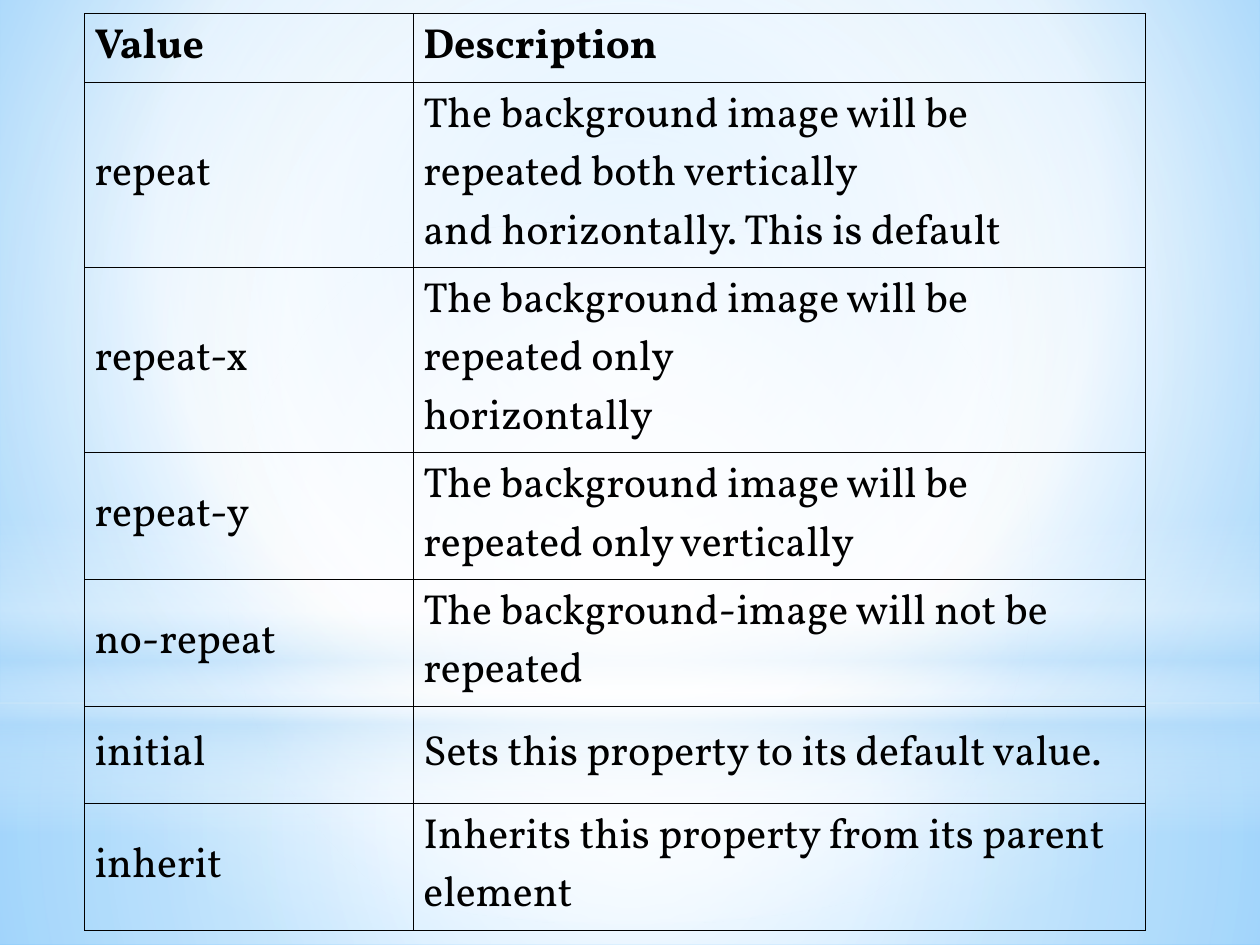
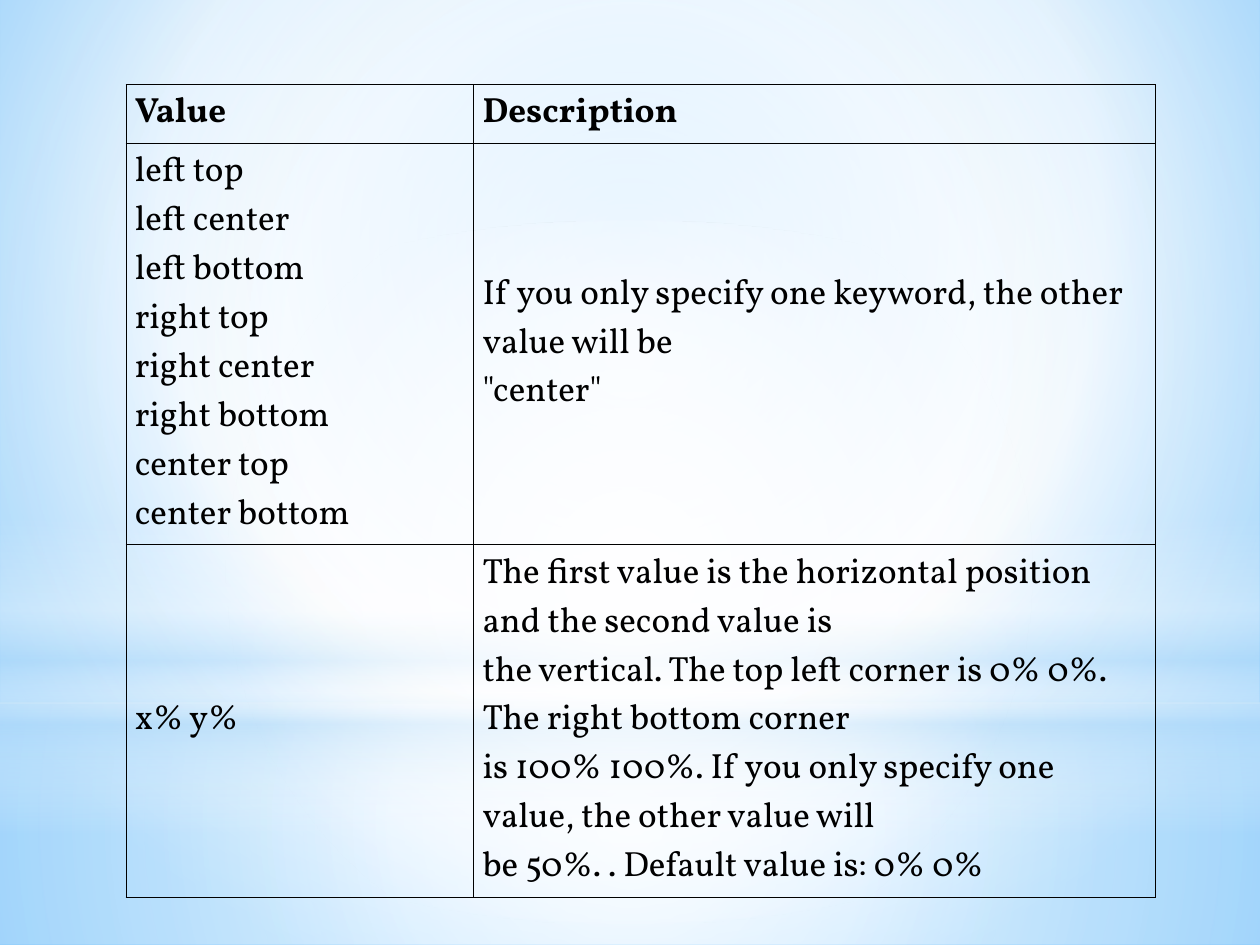
from pptx import Presentation
from pptx.dml.color import RGBColor
from pptx.enum.shapes import MSO_SHAPE
from pptx.enum.text import MSO_ANCHOR
from pptx.oxml import parse_xml
from pptx.oxml.ns import nsdecls, qn
from pptx.util import Inches, Pt

RECTANGLE = MSO_SHAPE.RECTANGLE
OVAL = MSO_SHAPE.OVAL
MIDDLE = MSO_ANCHOR.MIDDLE

FONT = "Vollkorn"
BLACK = "000000"
WHITE = "FFFFFF"
PALE = "B4DCFA"
SKY = "9ED5FF"
BLUE = "5BB9FF"
BORDER_WIDTH = 0.5
CENTER = (50, 50, 50, 50)
SLIDE_WIDTH, SLIDE_HEIGHT = 10, 7.5
HORIZON = 5.58

# Gradient stops: position %, colour, opacity %
BACKDROP_STOPS = [(0, SKY, 100), (60, WHITE, 100), (100, BLUE, 100)]
GROUND_STOPS = [(0, WHITE, 91), (37, WHITE, 76), (100, PALE, 79)]
SKY_STOPS = [(0, WHITE, 89), (48, WHITE, 62), (100, PALE, 79)]
MIST_STOPS = [(0, WHITE, 0), (29, WHITE, 30), (45, PALE, 40),
              (55, WHITE, 26), (65, PALE, 60), (100, WHITE, 0)]
GLOW_STOPS = [(0, WHITE, 100), (56, WHITE, 0)]

# Shape, box (left, top, width, height), stops, focus (None is a vertical fade)
SCENERY = [
    (RECTANGLE, (0, HORIZON, SLIDE_WIDTH, SLIDE_HEIGHT - HORIZON), GROUND_STOPS, CENTER),
    (RECTANGLE, (0, 0, SLIDE_WIDTH, HORIZON), SKY_STOPS, CENTER),
    (RECTANGLE, (0, 4.12, SLIDE_WIDTH, 2.5), MIST_STOPS, None),
    (OVAL, (0, 1.75, SLIDE_WIDTH, 5.58), GLOW_STOPS, CENTER),
]

REPEAT_VALUES = [
    ("Value", "Description"),
    ("repeat", "The background image will be repeated both vertically\n"
               "and horizontally. This is default"),
    ("repeat-x", "The background image will be repeated only\nhorizontally"),
    ("repeat-y", "The background image will be repeated only vertically"),
    ("no-repeat", "The background-image will not be repeated"),
    ("initial", "Sets this property to its default value."),
    ("inherit", "Inherits this property from its parent element"),
]

POSITION_VALUES = [
    ("Value", "Description"),
    ("left top\nleft center\nleft bottom\nright top\nright center\n"
     "right bottom\ncenter top\ncenter bottom",
     'If you only specify one keyword, the other value will be\n"center"'),
    ("x% y%",
     "The first value is the horizontal position and the second value is\n"
     "the vertical. The top left corner is 0% 0%. The right bottom corner\n"
     "is 100% 100%. If you only specify one value, the other value will\n"
     "be 50%. . Default value is: 0% 0%"),
]


def rgb(color):
    return RGBColor.from_string(color)


def fill_gradient(owner, fill, stops, focus):
    """Give owner a gradient: circular around focus, or vertical without one."""
    fill.gradient()
    stop_list = "".join(
        f'<a:gs pos="{position * 1000}"><a:srgbClr val="{color}">'
        f'<a:alpha val="{opacity * 1000}"/></a:srgbClr></a:gs>'
        for position, color, opacity in stops)
    if focus:
        left, top, right, bottom = (edge * 1000 for edge in focus)
        direction = (f'<a:path path="circle"><a:fillToRect l="{left}" t="{top}" '
                     f'r="{right}" b="{bottom}"/></a:path>')
    else:
        direction = '<a:lin ang="5400000" scaled="0"/>'
    gradient = parse_xml(f'<a:gradFill {nsdecls("a")} rotWithShape="1">'
                         f'<a:gsLst>{stop_list}</a:gsLst>{direction}</a:gradFill>')
    default = next(owner.element.iter(qn("a:gradFill")))
    default.getparent().replace(default, gradient)


def add_scenery(slide):
    for outline, box, stops, focus in SCENERY:
        layer = slide.shapes.add_shape(outline, *map(Inches, box))
        layer.shadow.inherit = False
        layer.line.fill.background()
        fill_gradient(layer, layer.fill, stops, focus)


def add_borders(cell):
    properties = cell._tc.get_or_add_tcPr()
    for index, side in enumerate(("lnL", "lnR", "lnT", "lnB")):
        properties.insert(index, parse_xml(
            f'<a:{side} {nsdecls("a")} w="{Pt(BORDER_WIDTH)}"><a:solidFill>'
            f'<a:srgbClr val="{BLACK}"/></a:solidFill></a:{side}>'))


def fill_cell(cell, text, size, bold, side_margin):
    cell.fill.background()
    cell.vertical_anchor = MIDDLE
    cell.margin_left = cell.margin_right = Inches(side_margin)
    cell.margin_top = cell.margin_bottom = Inches(0.04)
    paragraph = cell.text_frame.paragraphs[0]
    paragraph.text = text
    font = paragraph.font
    font.name, font.size, font.bold = FONT, Pt(size), bold
    font.color.rgb = rgb(BLACK)
    add_borders(cell)


def add_value_slide(prs, values, corner, widths, heights, size, side_margin):
    slide = prs.slides.add_slide(prs.slide_layouts[6])
    add_scenery(slide)
    box = (*corner, sum(widths), sum(heights))
    table = slide.shapes.add_table(len(values), len(widths), *map(Inches, box)).table
    table.first_row = table.horz_banding = False
    for column, width in zip(table.columns, widths):
        column.width = Inches(width)
    for row_index, (row, height) in enumerate(zip(table.rows, heights)):
        row.height = Inches(height)
        for cell, text in zip(row.cells, values[row_index]):
            fill_cell(cell, text, size, row_index == 0, side_margin)


def main():
    prs = Presentation()
    prs.slide_width, prs.slide_height = Inches(SLIDE_WIDTH), Inches(SLIDE_HEIGHT)
    master = prs.slide_master
    fill_gradient(master, master.background.fill, BACKDROP_STOPS, (20, 10, 20, 60))

    add_value_slide(prs, REPEAT_VALUES, (0.67, 0.11), (2.61, 5.81),
                    (0.42, 1.46, 1.11, *[0.77] * 4), size=24, side_margin=0.08)
    add_value_slide(prs, POSITION_VALUES, (1, 0.67), (2.76, 5.41),
                    (0.37, 2.78, 1.98), size=20, side_margin=0.07)
    prs.save("out.pptx")


if __name__ == "__main__":
    main()
